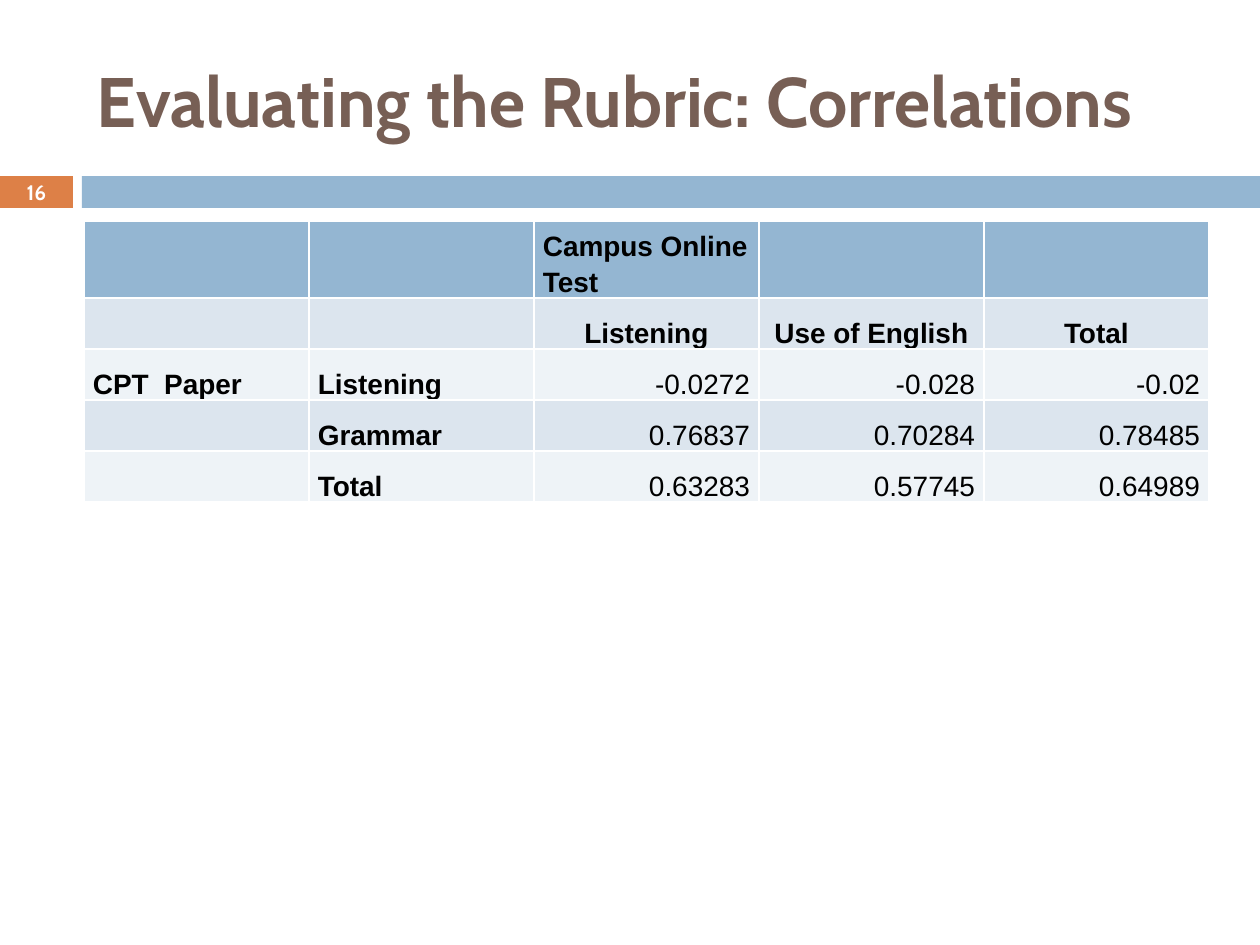
import pptx
import pptx.dml.color
import pptx.enum.shapes
import pptx.enum.text
import pptx.util

PX = 914400 / 126
ANCHOR = pptx.enum.text.MSO_ANCHOR
ALIGN = pptx.enum.text.PP_ALIGN
BLUE, ORANGE, BROWN, WHITE = "94B6D2", "DD8047", "775F55", "FFFFFF"
DARK_BAND, LIGHT_BAND = "DCE5EE", "EEF3F7"


def px(*lengths):
    """Turn pixel lengths into a list of EMU."""
    return [pptx.util.Emu(round(length * PX)) for length in lengths]


def format_font(font, name, size, color, bold):
    font.name = name
    font.size = pptx.util.Pt(size)
    font.bold = bold
    font.color.rgb = pptx.dml.color.RGBColor.from_string(color)


presentation = pptx.Presentation()
presentation.slide_width, presentation.slide_height = px(1260, 945)
slide = presentation.slides.add_slide(presentation.slide_layouts[5])

# Band under the title
for left, width, color in [(0, 73, ORANGE), (82, 1178, BLUE)]:
    bar = slide.shapes.add_shape(
        pptx.enum.shapes.MSO_SHAPE.RECTANGLE, *px(left, 176, width, 32))
    bar.shadow.inherit = False
    bar.fill.solid()
    bar.fill.fore_color.rgb = pptx.dml.color.RGBColor.from_string(color)
    bar.line.fill.background()

# Title
title = slide.shapes.title
title.left, title.top, title.width, title.height = px(84, 32, 1124, 136)
title.text_frame.text = "Evaluating the Rubric: Correlations"
title.text_frame.vertical_anchor = ANCHOR.MIDDLE
paragraph = title.text_frame.paragraphs[0]
paragraph.alignment = ALIGN.LEFT
format_font(paragraph.runs[0].font, "Cabin", 40, BROWN, True)

# Slide number
number = slide.shapes.add_textbox(*px(0, 175, 73, 34))
number.text_frame.word_wrap = True
number.text_frame.text = "16"
number.text_frame.vertical_anchor = ANCHOR.MIDDLE
number.text_frame.margin_top = number.text_frame.margin_bottom = 0
paragraph = number.text_frame.paragraphs[0]
paragraph.alignment = ALIGN.CENTER
format_font(paragraph.runs[0].font, "Cabin", 12, WHITE, True)

# Correlation table; its default style draws the white rules
rows = [
    ["", "", "Campus Online Test", "", ""],
    ["", "", "Listening", "Use of English", "Total"],
    ["CPT  Paper", "Listening", "-0.0272", "-0.028", "-0.02"],
    ["", "Grammar", "0.76837", "0.70284", "0.78485"],
    ["", "Total", "0.63283", "0.57745", "0.64989"],
]
table = slide.shapes.add_table(5, 5, *px(84, 221, 1125, 255)).table
for row_index, row in enumerate(rows):
    if row_index == 0:
        fill = BLUE
    else:
        fill = DARK_BAND if row_index % 2 else LIGHT_BAND
    for column_index, text in enumerate(row):
        cell = table.cell(row_index, column_index)
        cell.fill.solid()
        cell.fill.fore_color.rgb = pptx.dml.color.RGBColor.from_string(fill)
        if not text:
            continue
        is_value = row_index >= 2 and column_index >= 2
        cell.text_frame.text = text
        cell.vertical_anchor = ANCHOR.BOTTOM
        cell.margin_left, cell.margin_top, cell.margin_right, cell.margin_bottom = px(9, 0, 9, 0)
        paragraph = cell.text_frame.paragraphs[0]
        paragraph.line_spacing = 1.15
        if is_value:
            paragraph.alignment = ALIGN.RIGHT
        else:
            paragraph.alignment = ALIGN.CENTER if row_index == 1 else ALIGN.LEFT
        format_font(paragraph.runs[0].font, "Arial", 16, "000000", not is_value)

presentation.save("out.pptx")
